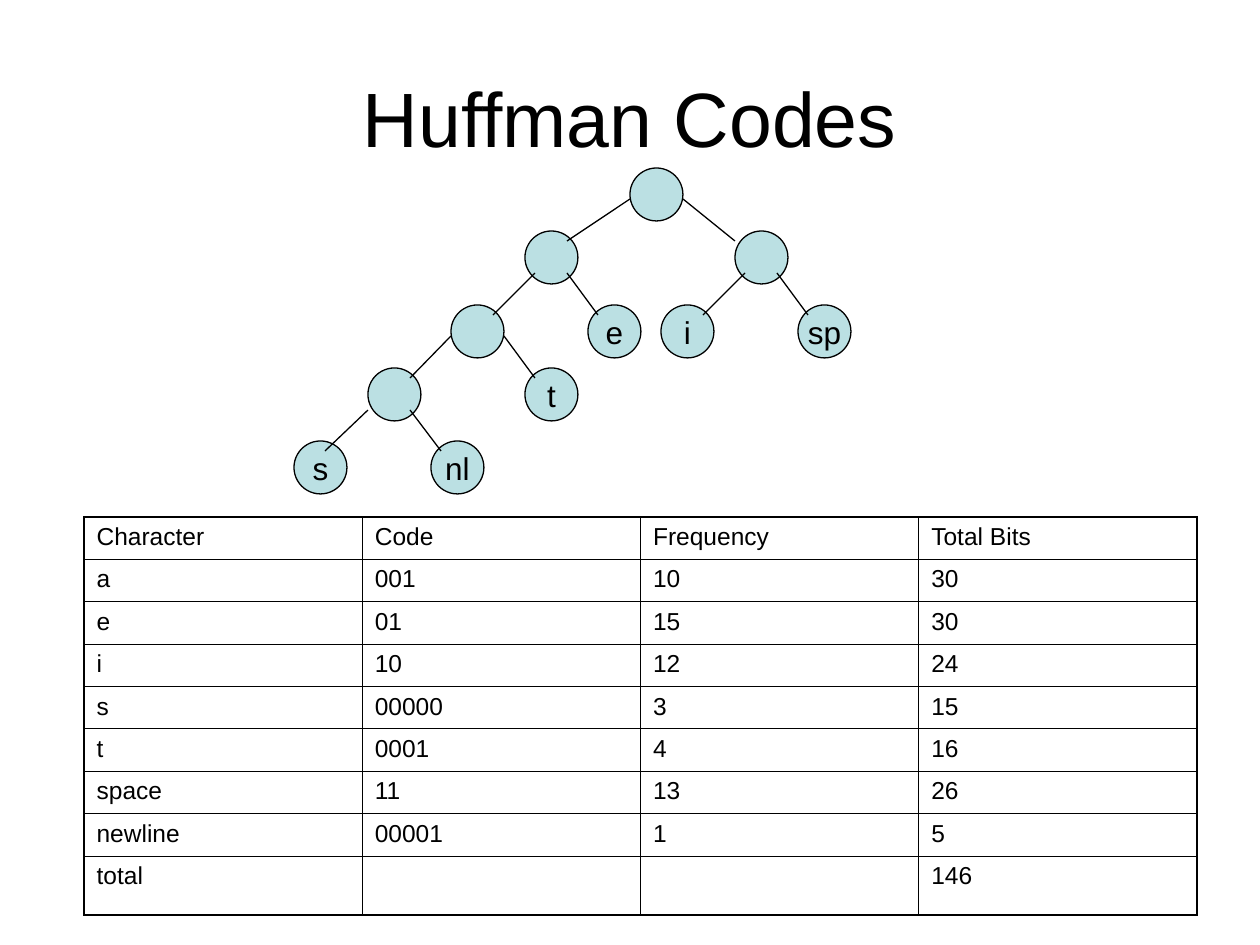
from dataclasses import dataclass

from lxml.etree import SubElement
from pptx import Presentation
from pptx.dml.color import RGBColor
from pptx.enum.shapes import MSO_CONNECTOR, MSO_SHAPE
from pptx.enum.text import MSO_ANCHOR, PP_ALIGN
from pptx.oxml.ns import qn
from pptx.util import Emu, Pt


@dataclass(frozen=True)
class Theme:
    font: str = "Arial"
    ink: str = "000000"
    node: str = "BBE0E3"
    title_size: int = 44
    node_size: int = 18
    table_size: int = 14
    line: float = 0.75
    inner_border: float = 0.45
    outer_border: float = 1.08


THEME = Theme()
INK = RGBColor.from_string(THEME.ink)
DIAMETER = 53
EDGE_END_Y = 10

NODES = {
    "root": (336, 0, ""),
    "0": (231, 63, ""),
    "1": (441, 63, ""),
    "00": (157, 137, ""),
    "01": (294, 137, "e"),
    "10": (367, 137, "i"),
    "11": (504, 137, "sp"),
    "000": (74, 200, ""),
    "0001": (231, 200, "t"),
    "00000": (0, 273, "s"),
    "00001": (137, 273, "nl"),
}

EDGES = [
    ("root", "0", (0, 31), 42),
    ("root", "1", (53, 31), 0),
    ("0", "00", (10, 42), 42),
    ("0", "01", (42, 42), 10),
    ("1", "10", (10, 42), 42),
    ("1", "11", (42, 42), 10),
    ("00", "000", (0, 31), 42),
    ("00", "0001", (53, 31), 10),
    ("000", "00000", (0, 42), 31),
    ("000", "00001", (42, 42), 10),
]

CODES = [
    ("Character", "Code", "Frequency", "Total Bits"),
    ("a", "001", "10", "30"),
    ("e", "01", "15", "30"),
    ("i", "10", "12", "24"),
    ("s", "00000", "3", "15"),
    ("t", "0001", "4", "16"),
    ("space", "11", "13", "26"),
    ("newline", "00001", "1", "5"),
    ("total", "", "", "146"),
]


def px(length):
    return Emu(round(length * 914400 / 126))


def write(frame, text, size, align=PP_ALIGN.LEFT):
    paragraph = frame.paragraphs[0]
    paragraph.text = text
    paragraph.alignment = align
    paragraph.font.name = THEME.font
    paragraph.font.size = Pt(size)
    paragraph.font.color.rgb = INK


def add_title(slide, left, top, width, height):
    frame = slide.shapes.add_textbox(px(left), px(top), px(width), px(height)).text_frame
    frame.word_wrap = True
    frame.vertical_anchor = MSO_ANCHOR.MIDDLE
    write(frame, "Huffman Codes", THEME.title_size, PP_ALIGN.CENTER)


def add_tree(slide, left, top):
    for x, y, label in NODES.values():
        node = slide.shapes.add_shape(
            MSO_SHAPE.OVAL, px(left + x), px(top + y), px(DIAMETER), px(DIAMETER))
        node.shadow.inherit = False
        node.fill.solid()
        node.fill.fore_color.rgb = RGBColor.from_string(THEME.node)
        node.line.color.rgb = INK
        node.line.width = Pt(THEME.line)
        if label:
            node.text_frame.word_wrap = False
            node.text_frame.vertical_anchor = MSO_ANCHOR.MIDDLE
            write(node.text_frame, label, THEME.node_size, PP_ALIGN.CENTER)

    for parent, child, (start_x, start_y), end_x in EDGES:
        parent_x, parent_y, _ = NODES[parent]
        child_x, child_y, _ = NODES[child]
        edge = slide.shapes.add_connector(
            MSO_CONNECTOR.STRAIGHT,
            px(left + parent_x + start_x), px(top + parent_y + start_y),
            px(left + child_x + end_x), px(top + child_y + EDGE_END_Y))
        edge.line.color.rgb = INK
        edge.line.width = Pt(THEME.line)
        SubElement(edge._element.spPr, qn("a:effectLst"))


def add_borders(cell, outer_sides):
    properties = cell._tc.get_or_add_tcPr()
    for side, is_outer in outer_sides.items():
        width = THEME.outer_border if is_outer else THEME.inner_border
        border = SubElement(properties, qn(f"a:ln{side}"), w=str(Pt(width)))
        fill = SubElement(border, qn("a:solidFill"))
        SubElement(fill, qn("a:srgbClr"), val=THEME.ink)


def add_code_table(slide, left, top, width, height, total_height):
    last_row, last_column = len(CODES) - 1, len(CODES[0]) - 1
    table = slide.shapes.add_table(
        len(CODES), len(CODES[0]), px(left), px(top), px(width), px(height)).table
    table.first_row = False
    table.horz_banding = False
    for column in table.columns:
        column.width = px(width / len(CODES[0]))
    for r, values in enumerate(CODES):
        table.rows[r].height = px(
            total_height if r == last_row else (height - total_height) / last_row)
        for c, value in enumerate(values):
            cell = table.cell(r, c)
            write(cell.text_frame, value, THEME.table_size)
            add_borders(cell, {"L": c == 0, "R": c == last_column,
                               "T": r == 0, "B": r == last_row})
            cell.fill.background()


def main():
    presentation = Presentation()
    presentation.slide_width = px(1260)
    presentation.slide_height = px(945)
    slide = presentation.slides.add_slide(presentation.slide_layouts[6])
    add_title(slide, 63, 38, 1134, 157)
    add_tree(slide, 294, 168)
    add_code_table(slide, 84, 517, 1113, 398, 59)
    presentation.save("out.pptx")


if __name__ == "__main__":
    main()
